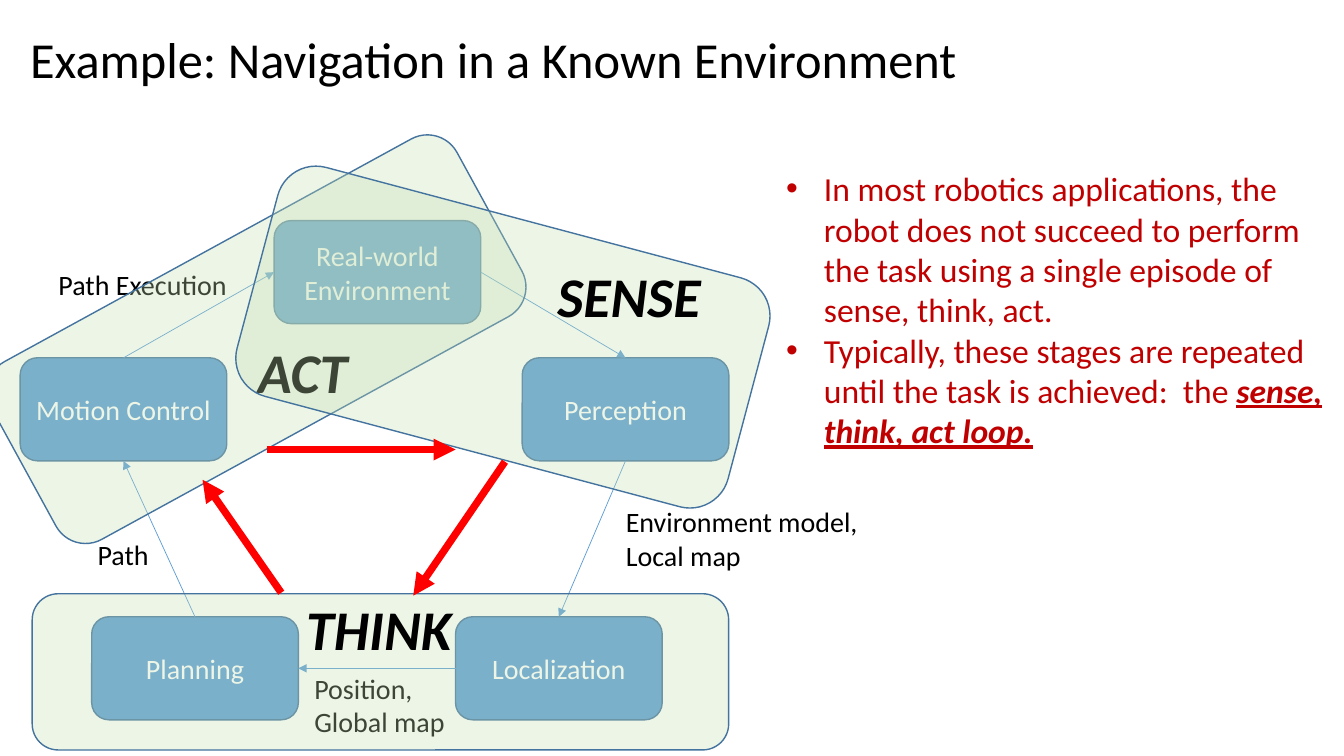
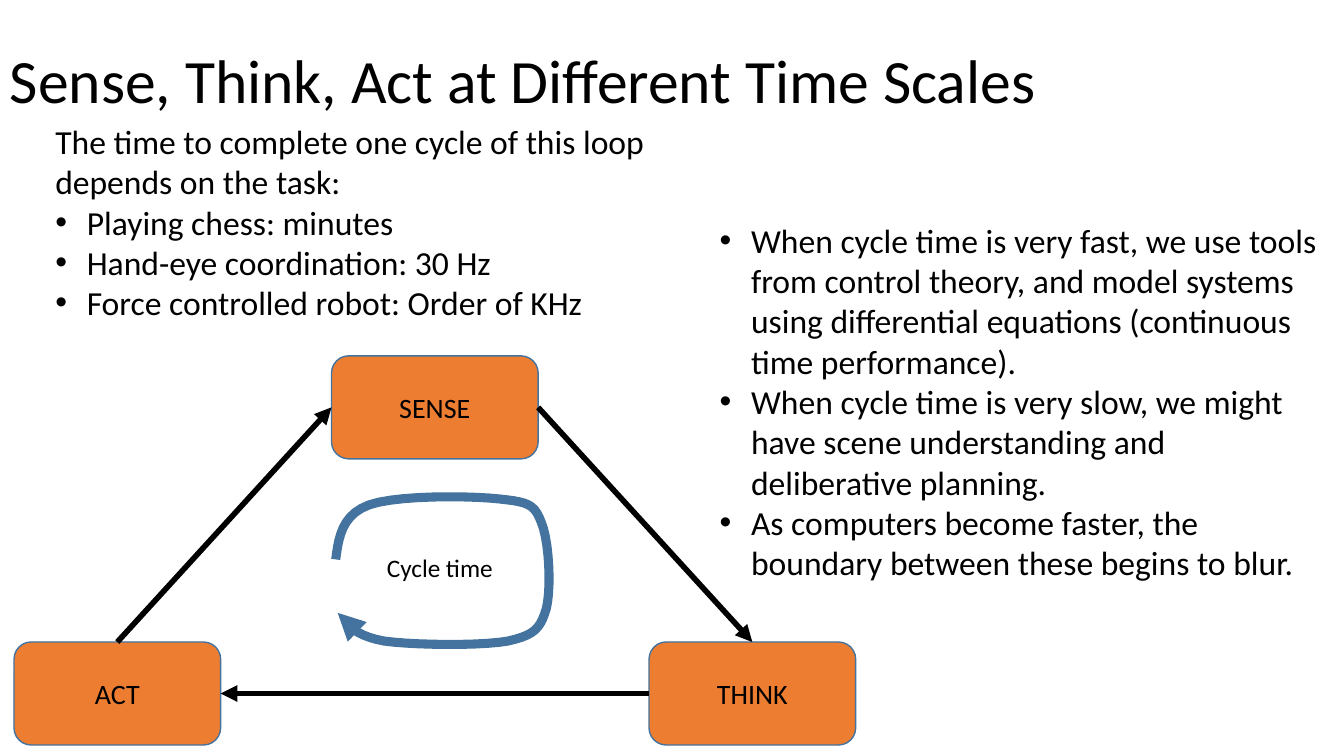
import pptx
import pptx.dml.color
import pptx.enum.shapes
import pptx.enum.text
import pptx.oxml
import pptx.oxml.ns
import pptx.util

Pt = pptx.util.Pt
qn = pptx.oxml.ns.qn
SHAPE = pptx.enum.shapes.MSO_SHAPE
STRAIGHT = pptx.enum.shapes.MSO_CONNECTOR.STRAIGHT
ALIGN = pptx.enum.text.PP_ALIGN
MIDDLE = pptx.enum.text.MSO_ANCHOR.MIDDLE
FONT = "Calibri"
BLACK, WHITE, RED, CRIMSON = "000000", "FFFFFF", "FF0000", "C00000"
BLUE, EDGE, ORANGE, GREEN = "5B9BD5", "43739E", "ED7D31", "C5E0B4"
BOX_W, BOX_H = 147.6, 73.6
TOP, LEFT, BOTTOM, RIGHT = range(4)


def color(target, code):
    target.rgb = pptx.dml.color.RGBColor.from_string(code)


def paint(fill, code):
    fill.solid()
    color(fill.fore_color, code)


def style(para, size, code, bold=False):
    for run in para.runs:
        font = run.font
        font.name, font.size = FONT, Pt(size)
        color(font.color, code)
        if bold:
            font.bold = font.italic = True


def child(parent, tag, **attrs):
    node = pptx.oxml.parse_xml(
        f'<a:{tag} xmlns:a="http://schemas.openxmlformats.org/drawingml/2006/main"/>')
    for key, value in attrs.items():
        node.set(key, value)
    parent.append(node)


def text(slide, x, y, w, h, words, size=20, code=BLACK, wrap=True, bold=False, align=None):
    box = slide.shapes.add_textbox(Pt(x), Pt(y), Pt(w), Pt(h))
    frame = box.text_frame
    frame.word_wrap = wrap
    for i, line in enumerate(words if isinstance(words, list) else [words]):
        para = frame.add_paragraph() if i else frame.paragraphs[0]
        para.text = line
        para.alignment = align
        style(para, size, code, bold)
    return frame


def bullet(paras, indent):
    for para in paras:
        props = para._p.get_or_add_pPr()
        props.set("marL", str(Pt(indent)))
        props.set("indent", str(-Pt(indent)))
        child(props, "buFont", typeface="Arial")
        child(props, "buChar", char="•")


def panel(slide, x, y, w, h, fill):
    shape = slide.shapes.add_shape(SHAPE.ROUNDED_RECTANGLE, Pt(x), Pt(y), Pt(w), Pt(h))
    shape.shadow.inherit = False
    paint(shape.fill, fill)
    color(shape.line.color, EDGE)
    shape.line.width = Pt(1)
    return shape


def node(slide, x, y, words, fill, code):
    shape = panel(slide, x, y, BOX_W, BOX_H, fill)
    frame = shape.text_frame
    frame.word_wrap = True
    frame.vertical_anchor = MIDDLE
    frame.text = words
    frame.paragraphs[0].alignment = ALIGN.CENTER
    style(frame.paragraphs[0], 20, code)
    return shape


def stroke(shape, code, width):
    color(shape.line.color, code)
    shape.line.width = Pt(width)
    child(shape.element.spPr.find(qn("a:ln")), "tailEnd", type="triangle")


def arrow(slide, x1, y1, x2, y2, code, width):
    line = slide.shapes.add_connector(STRAIGHT, Pt(x1), Pt(y1), Pt(x2), Pt(y2))
    stroke(line, code, width)
    child(line.element.spPr, "effectLst")
    return line


def link(slide, nodes, links, code, width):
    for start, out, end, into in links:
        line = arrow(slide, 0, 0, 0, 0, code, width)
        line.begin_connect(nodes[start], out)
        line.end_connect(nodes[end], into)


def steps(slide, x, y):
    spots = [
        ("Real-world Environment", 181.4, 0),
        ("Perception", 358.6, 98),
        ("Localization", 311, 283),
        ("Planning", 51.1, 283),
        ("Motion Control", 0, 98),
    ]
    nodes = [node(slide, x + dx, y + dy, words, BLUE, WHITE) for words, dx, dy in spots]
    for words, dx, dy, w, h in [
        ("Environment model,\vLocal map", 425.5, 199.5, 181.4, 55.4),
        ("Position,\vGlobal map", 203, 318.3, 108.7, 55.4),
        ("Path", 48.2, 222.6, 51.8, 31.7),
    ]:
        text(slide, x + dx, y + dy, w, h, words, wrap=False)
    link(slide, nodes, [
        (0, RIGHT, 1, TOP), (1, BOTTOM, 2, TOP), (2, LEFT, 3, RIGHT),
        (3, TOP, 4, BOTTOM), (4, TOP, 0, LEFT),
    ], BLUE, 0.5)
    text(slide, x + 8.6, y + 29.6, 157.7, 31.7, "Path Execution", align=ALIGN.CENTER)


def stages(slide, x, y):
    for words, band, turn, label in [
        ("ACT", (-20.9, 12.3, 379.4, 144.7), 331.3, (162.7, 80, 79.9)),
        ("THINK", (8.6, 266.5, 497.5, 111.6), 0, (197.3, 263.6, 119.5)),
        ("SENSE", (163.4, -1.4, 362.9, 169.2), 14.9, (376.6, 26, 118.1)),
    ]:
        dx, dy, w, h = band
        shape = panel(slide, x + dx, y + dy, w, h, GREEN)
        shape.rotation = turn
        tint = shape.element.spPr.find(qn("a:solidFill")).find(qn("a:srgbClr"))
        child(tint, "alpha", val="31000")
        dx, dy, w = label
        text(slide, x + dx, y + dy, w, 55.4, words, 40, wrap=False, bold=True)
    for x1, y1, x2, y2 in [
        (186.5, 265.8, 130.3, 185.1),
        (176.4, 163.5, 311, 163.5),
        (346.3, 172.2, 280.8, 267.9),
    ]:
        arrow(slide, x + x1, y + y1, x + x2, y + y2, RED, 5.25)


def curve(points, count=10):
    yield points[0]
    for i in range(0, len(points) - 1, 3):
        for step in range(1, count + 1):
            t = step / count
            parts = ((1 - t) ** 3, 3 * t * (1 - t) ** 2, 3 * t * t * (1 - t), t ** 3)
            yield tuple(sum(k * p[axis] for k, p in zip(parts, points[i:i + 4]))
                        for axis in (0, 1))


def cycle(slide, x, y):
    step, drop = 226.8, 204.4
    nodes = [node(slide, x + dx, y + dy, words, ORANGE, BLACK) for words, dx, dy in
             [("SENSE", step, 0), ("THINK", 2 * step, drop), ("ACT", 0, drop)]]
    link(slide, nodes, [(0, RIGHT, 1, TOP), (1, LEFT, 2, RIGHT), (2, TOP, 0, LEFT)], BLACK, 4)
    bends = [
        (229.8, 145.4), (231.9, 129.6), (234.1, 113.7), (253.5, 106.5),
        (273.7, 99.3), (326.2, 100), (346.4, 102.2),
        (367.3, 104.4), (371.6, 105.8), (376.6, 118.8),
        (382.4, 132.4), (383.8, 166.3), (380.2, 180.7),
        (375.9, 194.4), (372.3, 199.4), (352.9, 203.7),
        (333.4, 207.3), (284.5, 206.6), (264.3, 203.7),
        (244.2, 200.1), (237.7, 192.2), (231.2, 183.6),
    ]
    spots = [(Pt(x + dx), Pt(y + dy)) for dx, dy in curve(bends)]
    form = slide.shapes.build_freeform(*spots[0])
    form.add_line_segments(spots[1:], close=False)
    loop = form.convert_to_shape()
    loop.shadow.inherit = False
    loop.fill.background()
    stroke(loop, EDGE, 6.5)
    text(slide, x + 259.3, y + 136.8, 98.6, 28.8, "Cycle time", 18)


def known(slide):
    steps(slide, 14.4, 157.6)
    text(slide, 14.4, 16.6, 708.5, 51, "Example: Navigation in a Known Environment", 36)
    stages(slide, 14.4, 157.6)
    frame = text(slide, 554.4, 116.6, 406, 239.8, [
        "In most robotics applications, the robot does not succeed to perform the task "
        "using a single episode of sense, think, act.",
        "Typically, these stages are repeated until the task is achieved:  the ",
    ], 24, CRIMSON)
    bullet(frame.paragraphs, 27)
    last = frame.paragraphs[1]
    run = last.add_run()
    run.text = "sense, think, act loop."
    style(last, 24, CRIMSON)
    run.font.bold = run.font.italic = run.font.underline = True


def scales(slide):
    text(slide, 0, 26.6, 833, 60.5, "Sense, Think, Act at Different Time Scales", 44)
    cycle(slide, 10, 254.2)
    tasks = text(slide, 32.4, 82.8, 474.5, 152.6, [
        "The time to complete one cycle of this loop depends on the task:",
        "Playing chess: minutes",
        "Hand-eye coordination: 30 Hz",
        "Force controlled robot: Order of KHz",
    ], 24)
    bullet(tasks.paragraphs[1:], 22.5)
    speeds = text(slide, 506.9, 153.4, 452.9, 269.3, [
        "When cycle time is very fast, we use tools from control theory, and model systems "
        "using differential equations (continuous time performance).",
        "When cycle time is very slow, we might have scene understanding and "
        "deliberative planning.",
        "As computers become faster, the boundary between these begins to blur.",
    ], 24)
    bullet(speeds.paragraphs, 22.5)


def main():
    deck = pptx.Presentation()
    deck.slide_width, deck.slide_height = Pt(960), Pt(540)
    for build in (known, scales):
        build(deck.slides.add_slide(deck.slide_layouts[6]))
    deck.save("out.pptx")


if __name__ == "__main__":
    main()
